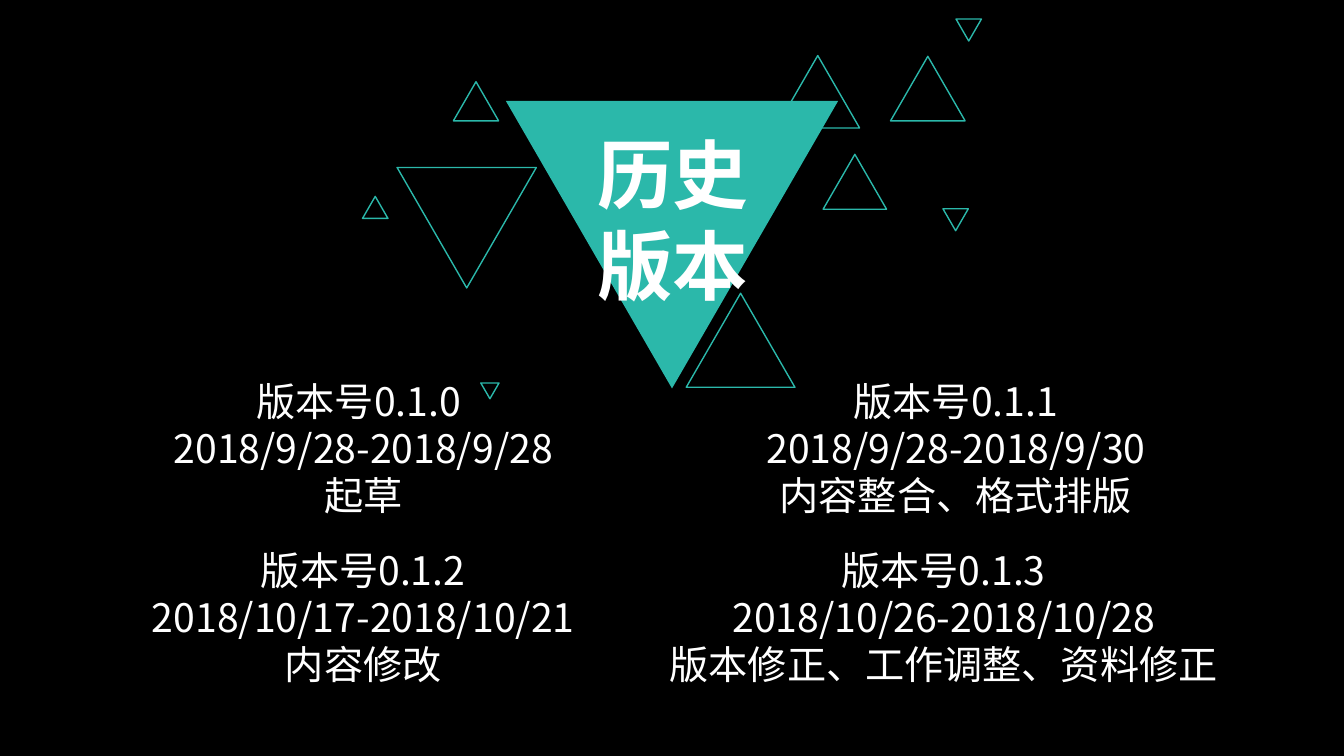
"""Build the version history slide."""
from pptx import Presentation
from pptx import util as u
from pptx.dml.color import RGBColor
from pptx.enum import shapes, text
from pptx.oxml.ns import qn

HUES = {"back": "000000", "teal": "2BB8AA", "text": "FFFFFF"}
FONT = "Noto Sans CJK SC"
RATIO = 0.865

UP = [
    (17.3, 7.39, 2.74), (19.56, 1.4, 2.11), (20.75, 3.89, 1.6),
    (11.43, 2.06, 1.14), (9.14, 4.95, 0.64), (22.45, 1.42, 1.88),
]
DOWN = [
    (10.01, 4.22, 3.51), (23.77, 5.26, 0.64),
    (12.12, 9.65, 0.46), (24.1, 0.48, 0.64),
]
NOTES = [
    (1.93, 9.37, ["版本号0.1.0 ", "2018/9/28-2018/9/28", "起草"]),
    (1.93, 13.63, ["版本号0.1.2", "2018/10/17-2018/10/21", "内容修改"]),
    (16.87, 9.37, ["版本号0.1.1", "2018/9/28-2018/9/30", "内容整合、格式排版"]),
    (16.56, 13.63, ["版本号0.1.3", "2018/10/26-2018/10/28", "版本修正、工作调整、资料修正"]),
]


def hue(name):
    """Return a named colour."""
    return RGBColor.from_string(HUES[name])


def place(shape, left, top, width, height):
    """Set the bounds of a shape in centimetres."""
    shape.left, shape.top = u.Cm(left), u.Cm(top)
    shape.width, shape.height = u.Cm(width), u.Cm(height)


def write(shape, lines, size=28, bold=False):
    """Fill a shape with centred lines of text."""
    frame = shape.text_frame
    frame.word_wrap = True
    frame.auto_size = text.MSO_AUTO_SIZE.NONE
    frame.vertical_anchor = text.MSO_ANCHOR.TOP
    frame.margin_left = frame.margin_right = u.Cm(0.25)
    frame.margin_top = frame.margin_bottom = u.Cm(0.13)
    frame.text = "\n".join(lines)
    for para in frame.paragraphs:
        para.alignment = text.PP_ALIGN.CENTER
        para.line_spacing = u.Pt(size * 1.2)
        para.space_before = para.space_after = u.Pt(0)
        for run in para.runs:
            font = run.font
            font.name, font.size, font.bold = FONT, u.Pt(size), bold
            font.color.rgb = hue("text")
            east = run.font._element.makeelement(qn("a:ea"), {"typeface": FONT})
            font._element.find(qn("a:latin")).addnext(east)


def wedge(slide, left, top, width, down=False, solid=False):
    """Draw a filled or outlined triangle."""
    shape = slide.shapes.add_shape(
        shapes.MSO_SHAPE.ISOSCELES_TRIANGLE,
        u.Cm(left), u.Cm(top), u.Cm(width), u.Cm(width * RATIO))
    shape.shadow.inherit = False
    shape.rotation = 180 if down else 0
    if solid:
        shape.fill.solid()
        shape.fill.fore_color.rgb = hue("teal")
        shape.line.fill.background()
    else:
        shape.fill.background()
        shape.line.color.rgb = hue("teal")
        shape.line.width = u.Pt(1)


def head(slide, lines):
    """Format the title and bring it to the front."""
    title = slide.shapes.title
    place(title, 10.57, 3.1, 12.78, 4.88)
    write(title, lines, size=54, bold=True)
    title.element.getparent().append(title.element)


def note(slide, left, top, lines):
    """Add the text for one version."""
    box = slide.shapes.add_textbox(0, 0, 0, 0)
    place(box, left, top, 14.45, 3.84)
    write(box, lines)


def main():
    """Build and save the slide."""
    deck = Presentation()
    deck.slide_width, deck.slide_height = u.Cm(33.88), u.Cm(19.05)
    slide = deck.slides.add_slide(deck.slide_layouts[5])
    slide.background.fill.solid()
    slide.background.fill.fore_color.rgb = hue("back")
    for spot in UP:
        wedge(slide, *spot)
    for spot in DOWN:
        wedge(slide, *spot, down=True)
    wedge(slide, 12.75, 2.54, 8.38, down=True, solid=True)
    head(slide, ["历史", "版本"])
    for left, top, lines in NOTES:
        note(slide, left, top, lines)
    deck.save("out.pptx")


if __name__ == "__main__":
    main()
